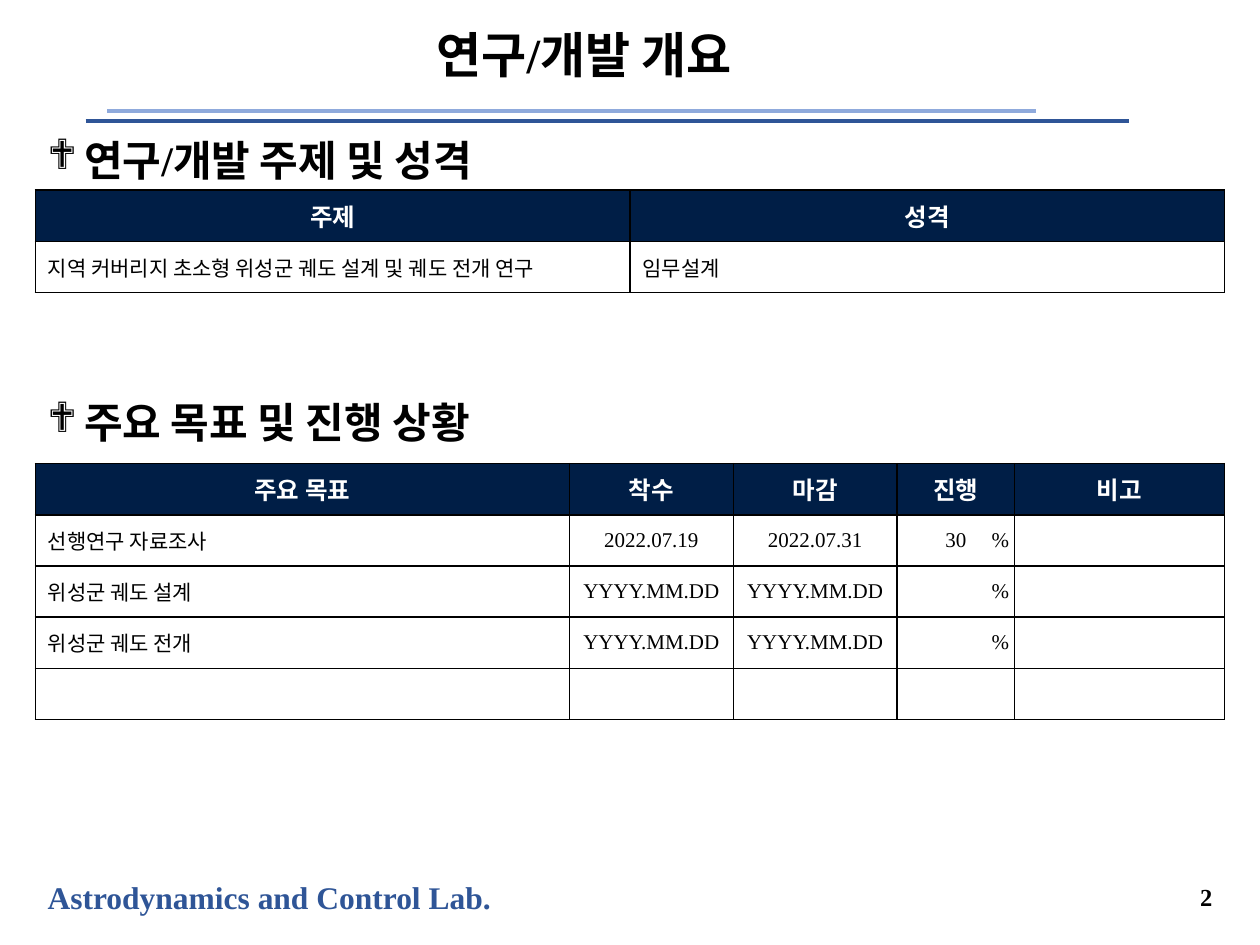
from pptx import Presentation
from pptx.dml.color import RGBColor
from pptx.enum.shapes import MSO_CONNECTOR
from pptx.enum.text import MSO_ANCHOR, PP_ALIGN
from pptx.oxml.ns import qn
from pptx.util import Inches, Pt
from lxml.etree import SubElement

COLORS = {"navy": "001E46", "blue": "2F5597", "light": "8FAADC",
          "black": "000000", "white": "FFFFFF"}
LATIN, KOREAN = "Times New Roman", "Noto Sans CJK KR"
LEFT, WIDTH, ROW_HEIGHT = 0.28, 9.44, 0.406
L, C, R, J = PP_ALIGN.LEFT, PP_ALIGN.CENTER, PP_ALIGN.RIGHT, PP_ALIGN.JUSTIFY

TITLE = "연구/개발 개요"
HEADINGS = [("연구/개발 주제 및 성격", 0), ("주요 목표 및 진행 상황", 121)]
RULES = [(0.68, 8.96, 0.96, "blue"), (0.85, 8.22, 0.88, "light")]
TOPIC = {
    "top": 1.51, "columns": [4.72, 4.72], "aligns": [L, J], "joined": None,
    "rows": [["주제", "성격"],
             ["지역 커버리지 초소형 위성군 궤도 설계 및 궤도 전개 연구", "임무설계"]],
}
GOALS = {
    "top": 3.68, "columns": [4.24, 1.3, 1.3, 0.65, 0.28, 1.67],
    "aligns": [J, C, C, R, L, L], "joined": (3, 4),
    "rows": [["주요 목표", "착수", "마감", "진행", "", "비고"],
             ["선행연구 자료조사", "2022.07.19", "2022.07.31", "30", "%", ""],
             ["위성군 궤도 설계", "YYYY.MM.DD", "YYYY.MM.DD", "", "%", ""],
             ["위성군 궤도 전개", "YYYY.MM.DD", "YYYY.MM.DD", "", "%", ""],
             [""] * 6],
}


def color(name):
    return RGBColor.from_string(COLORS[name])


def write(para, text, size, tone="black", bold=True, align=L):
    para.alignment = align
    font = para.font
    font.size, font.bold, font.name = Pt(size), bold, LATIN
    font.color.rgb = color(tone)
    if text:
        span = para.add_run()
        span.text = text
        SubElement(span._r.get_or_add_rPr(), qn("a:ea"), typeface=KOREAN)


def add_box(slide, left, top, width, height):
    box = slide.shapes.add_textbox(*map(Inches, (left, top, width, height)))
    box.text_frame.word_wrap = True
    return box.text_frame


def add_rule(slide, start, end, y, tone):
    rule = slide.shapes.add_connector(
        MSO_CONNECTOR.STRAIGHT, *map(Inches, (start, y, end, y)))
    rule.line.color.rgb = color(tone)
    rule.line.width = Pt(2.25)
    SubElement(rule._element.spPr, qn("a:effectLst"))


def set_borders(cell, hidden):
    properties = cell._tc.get_or_add_tcPr()
    for index, side in enumerate(("lnL", "lnR", "lnT", "lnB")):
        line = SubElement(properties, qn(f"a:{side}"), w=str(Pt(1)))
        if side == hidden:
            SubElement(line, qn("a:noFill"))
        else:
            fill = SubElement(line, qn("a:solidFill"))
            SubElement(fill, qn("a:srgbClr"), val=COLORS["black"])


def add_grid(slide, content):
    rows, columns, joined = content["rows"], content["columns"], content["joined"]
    frame = slide.shapes.add_table(
        len(rows), len(columns), Inches(LEFT), Inches(content["top"]),
        Inches(WIDTH), Inches(ROW_HEIGHT * len(rows)))
    table = frame.table
    for column, width in zip(table.columns, columns):
        column.width = Inches(width)
    for y, row in enumerate(rows):
        table.rows[y].height = Inches(ROW_HEIGHT)
        header = y == 0
        for x, text in enumerate(row):
            cell = table.cell(y, x)
            hidden = None
            if joined and x in joined and not header:
                hidden = "lnR" if x == joined[0] else "lnL"
            set_borders(cell, hidden)
            cell.fill.solid()
            cell.fill.fore_color.rgb = color("navy" if header else "white")
            cell.vertical_anchor = MSO_ANCHOR.MIDDLE
            write(cell.text_frame.paragraphs[0], text, 14 if header else 12,
                  "white" if header else "black", header,
                  C if header else content["aligns"][x])
    if joined:
        table.cell(0, joined[0]).merge(table.cell(0, joined[1]))


def add_headings(slide):
    frame = add_box(slide, LEFT, 1.02, WIDTH, 5.88)
    for index, (text, gap) in enumerate(HEADINGS):
        para = frame.add_paragraph() if index else frame.paragraphs[0]
        properties = para._p.get_or_add_pPr()
        properties.set("marL", str(Inches(0.29)))
        properties.set("indent", str(-Inches(0.29)))
        para.space_before = Pt(gap)
        SubElement(properties, qn("a:buFont"), typeface="Wingdings")
        SubElement(properties, qn("a:buChar"), char="❖")
        write(para, text, 24)


def main():
    deck = Presentation()
    deck.slide_width, deck.slide_height = Inches(10), Inches(7.5)
    slide = deck.slides.add_slide(deck.slide_layouts[5])

    for rule in RULES:
        add_rule(slide, *rule)

    title = slide.shapes.title
    title.left, title.top, title.width, title.height = map(
        Inches, (0.97, 0.08, 7.33, 0.75))
    title.text_frame.vertical_anchor = MSO_ANCHOR.MIDDLE
    heading = title.text_frame.paragraphs[0]
    heading.line_spacing = 0.9
    write(heading, TITLE, 28, align=C)

    add_headings(slide)
    for content in (GOALS, TOPIC):
        add_grid(slide, content)

    footer = add_box(slide, LEFT, 6.92, 3.76, 0.4)
    footer.word_wrap = False
    write(footer.paragraphs[0], "Astrodynamics and Control Lab.", 18, "blue")
    number = add_box(slide, 8.65, 6.92, 1.07, 0.39)
    number.vertical_anchor = MSO_ANCHOR.MIDDLE
    write(number.paragraphs[0], "2", 14, align=R)
    deck.save("out.pptx")


if __name__ == "__main__":
    main()
